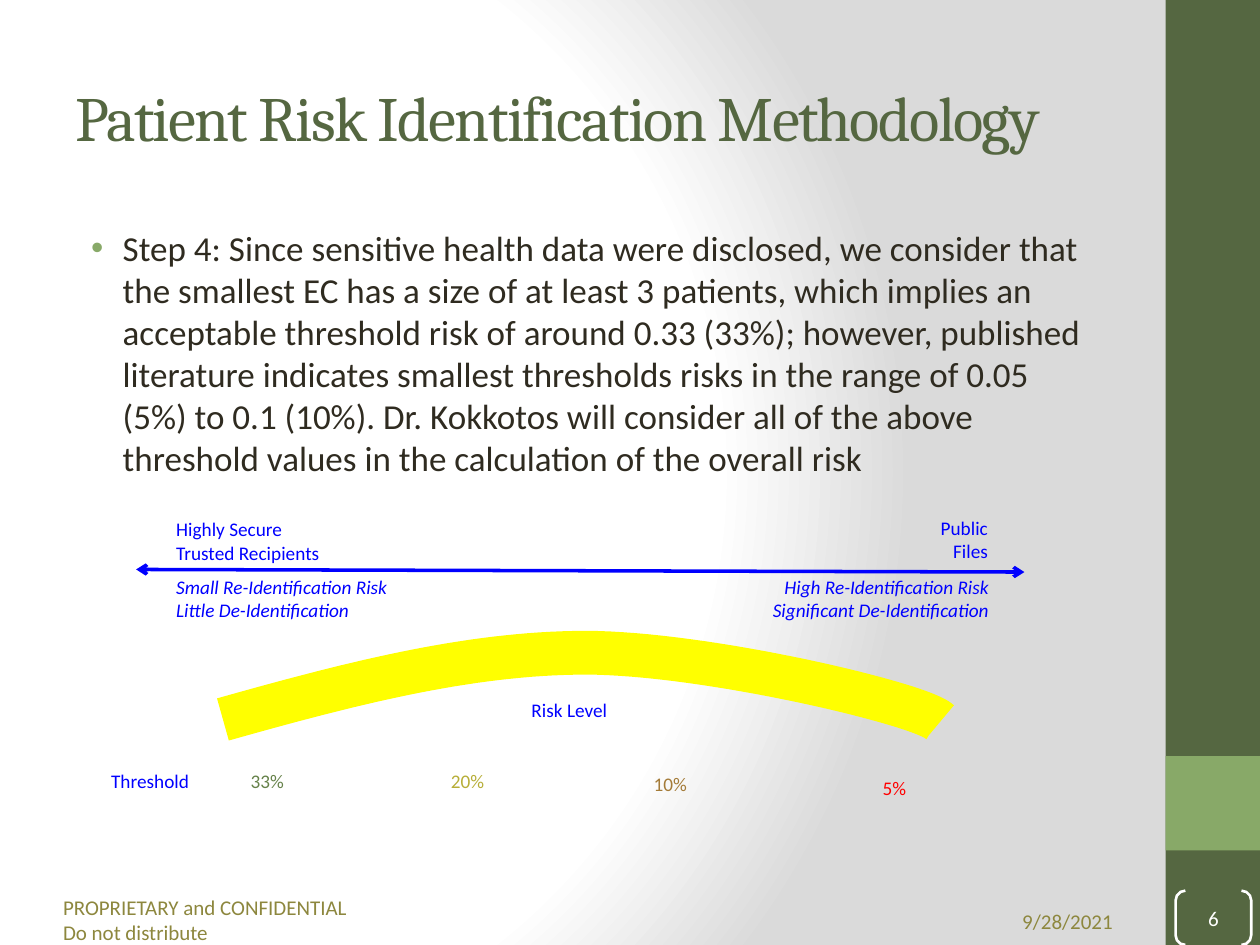
from lxml.etree import SubElement as Sub
from pptx import Presentation
from pptx.dml.color import RGBColor
from pptx.enum.shapes import MSO_CONNECTOR as Link, MSO_SHAPE as Kind
from pptx.enum.text import MSO_ANCHOR as Anchor, MSO_AUTO_SIZE as Fit, PP_ALIGN as Align
from pptx.oxml import parse_xml
from pptx.oxml.ns import nsdecls, qn
from pptx.util import Pt

WHITE = RGBColor(0xFF, 0xFF, 0xFF)
GREY = RGBColor(0xDA, 0xDA, 0xDA)
MOSS = RGBColor(0x55, 0x67, 0x41)
LEAF = RGBColor(0x88, 0xA9, 0x68)
OLIVE = RGBColor(0x8D, 0x87, 0x3E)
INK = RGBColor(0x2F, 0x2B, 0x20)
BLUE = RGBColor(0x00, 0x00, 0xFF)
YELLOW = RGBColor(0xFF, 0xFF, 0x00)
GREEN = RGBColor(0x66, 0x82, 0x4A)
GOLD = RGBColor(0xB7, 0xAE, 0x38)
BROWN = RGBColor(0xA4, 0x7B, 0x38)
RED = RGBColor(0xFF, 0x00, 0x00)

STEP = (
    "Step 4: Since sensitive health data were disclosed, we consider that "
    "the smallest EC has a size of at least 3 patients, which implies an "
    "acceptable threshold risk of around 0.33 (33%); however, published "
    "literature indicates smallest thresholds risks in the range of 0.05 "
    "(5%) to 0.1 (10%). Dr. Kokkotos will consider all of the above "
    "threshold values in the calculation of the overall risk"
)


def write(shape, text, size=11, color=BLUE, font="Calibri", align=Align.LEFT,
          anchor=Anchor.TOP, italic=False, inset=True):
    frame = shape.text_frame
    frame.text = text
    frame.word_wrap = True
    frame.auto_size = Fit.NONE
    frame.vertical_anchor = anchor
    if not inset:
        frame.margin_left = frame.margin_right = 0
        frame.margin_top = frame.margin_bottom = 0
    for para in frame.paragraphs:
        para.alignment = align
        for run in para.runs:
            run.font.size = Pt(size)
            run.font.name = font
            run.font.italic = italic
            run.font.color.rgb = color
    return frame


def label(slide, box, text, **form):
    return write(slide.shapes.add_textbox(*map(Pt, box)), text, **form)


def block(slide, kind, box, fill=None):
    shape = slide.shapes.add_shape(kind, *map(Pt, box))
    shape.shadow.inherit = False
    shape.line.fill.background()
    if fill is None:
        shape.fill.background()
    else:
        shape.fill.solid()
        shape.fill.fore_color.rgb = fill
    return shape


def ground(slide):
    stops = "".join(
        f'<a:gs pos="{pos}"><a:srgbClr val="{color}"/></a:gs>'
        for pos, color in ((0, WHITE), (75000, WHITE), (100000, GREY)))
    slide.element.cSld.insert(0, parse_xml(
        f'<p:bg {nsdecls("p", "a")}><p:bgPr><a:gradFill rotWithShape="1">'
        f'<a:gsLst>{stops}</a:gsLst><a:path path="circle">'
        '<a:fillToRect l="20000" t="50000" r="100000" b="50000"/></a:path>'
        '</a:gradFill><a:effectLst/></p:bgPr></p:bg>'))


def rail(slide, left, top, width, height):
    block(slide, Kind.RECTANGLE, (left, top, width, height), MOSS)
    block(slide, Kind.RECTANGLE, (left, top + height * 0.8, width, width), LEAF)
    badge = block(slide, Kind.DOUBLE_BRACKET,
                  (left + 5.8, top + height - 31, 43.2, 31))
    badge.adjustments[0] = 0.179
    badge.line.color.rgb = WHITE
    badge.line.width = Pt(1.5)
    write(badge, "6", size=12, color=WHITE, align=Align.CENTER,
          anchor=Anchor.MIDDLE, inset=False)


def head(slide, left, top, width, height):
    title = slide.shapes.title
    title.left, title.top = Pt(left), Pt(top)
    title.width, title.height = Pt(width), Pt(height)
    frame = write(title, "Patient Risk Identification Methodology", size=36,
                  color=MOSS, font="Cambria", anchor=Anchor.MIDDLE)
    frame.paragraphs[0].runs[0].font._element.set("spc", "-100")


def body(slide, left, top, width, height):
    para = label(slide, (left, top, width, height), STEP,
                 size=20, color=INK).paragraphs[0]
    para.space_before = Pt(4)
    props = para._p.get_or_add_pPr()
    props.set("marL", str(Pt(27)))
    props.set("indent", str(Pt(-18)))
    Sub(Sub(props, qn("a:buClr")), qn("a:srgbClr")).set("val", str(LEAF))
    Sub(props, qn("a:buFont")).set("typeface", "Arial")
    Sub(props, qn("a:buChar")).set("char", "•")


def foot(slide, left, top, width, height):
    form = dict(size=12, color=OLIVE, anchor=Anchor.MIDDLE, inset=False)
    label(slide, (left, top, 188.6, height),
          "PROPRIETARY and CONFIDENTIAL\nDo not distribute", **form)
    label(slide, (left + width - 98.6, top + 0.7, 98.6, height),
          "9/28/2021", align=Align.RIGHT, **form)


def arrow(slide, start, end):
    line = slide.shapes.add_connector(Link.STRAIGHT, *map(Pt, start + end))
    line.line.color.rgb = BLUE
    line.line.width = Pt(2)
    props = line.line._get_or_add_ln()
    for tip in ("a:headEnd", "a:tailEnd"):
        Sub(props, qn(tip)).set("type", "arrow")
    Sub(line._element.spPr, qn("a:effectLst"))


def bend(points, count=32):
    for step in range(1, count + 1):
        t = step / count
        parts = ((1 - t) ** 3, 3 * t * (1 - t) ** 2, 3 * t * t * (1 - t), t ** 3)
        yield tuple(Pt(sum(w * p[axis] for w, p in zip(parts, points)))
                    for axis in (0, 1))


def arc(slide, left, top):
    knots = [(left + x, top + y) for x, y in (
        (0, 38.1), (69.2, 18.7), (139, 0), (207.4, 0),
        (275.8, 0), (400.4, 29.5), (409.7, 39.6))]
    path = slide.shapes.build_freeform(*map(Pt, knots[0]))
    path.add_line_segments([*bend(knots[:4]), *bend(knots[3:])], close=False)
    curve = path.convert_to_shape()
    curve.shadow.inherit = False
    curve.fill.background()
    curve.line.color.rgb = YELLOW
    curve.line.width = Pt(25)


def scale(slide, left, top, width):
    arrow(slide, (left + 37.5, top + 33.8), (left + width, top + 35.3))
    ends = (
        (53.3, 0.7, 122.4, "Highly Secure\nTrusted Recipients", Align.LEFT, False),
        (409, 0, 122.4, "Public\nFiles", Align.RIGHT, False),
        (53.3, 33.8, 144, "Small Re-Identification Risk\nLittle De-Identification",
         Align.LEFT, True),
        (378, 33.8, 154, "High Re-Identification Risk\nSignificant De-Identification",
         Align.RIGHT, True),
    )
    for x, y, wide, text, align, italic in ends:
        label(slide, (left + x, top + y, wide, 33.8), text,
              align=align, italic=italic)
    arc(slide, left + 87.1, top + 81.4)
    label(slide, (left + 223.9, top + 103.7, 122.4, 20.9), "Risk Level",
          align=Align.CENTER)
    marks = (
        (0, 144.7, 74.9, "Threshold", BLUE, Align.RIGHT),
        (95.8, 144.7, 38.2, "33%", GREEN, Align.LEFT),
        (210.3, 144.7, 38.2, "20%", GOLD, Align.LEFT),
        (326.2, 146.2, 38.2, "10%", BROWN, Align.LEFT),
        (446.4, 148.3, 38.2, "5%", RED, Align.RIGHT),
    )
    for x, y, wide, text, color, align in marks:
        label(slide, (left + x, top + y, wide, 20.9), text,
              color=color, align=align)


deck = Presentation()
deck.slide_width, deck.slide_height = Pt(720), Pt(540)
page = deck.slides.add_slide(deck.slide_layouts[5])
ground(page)
rail(page, 666, 0, 54, 540)
head(page, 36, 21.6, 600, 90)
body(page, 36, 126, 600, 159)
foot(page, 36, 511.2, 600, 28.8)
scale(page, 40.3, 291.6, 545.1)
deck.save("out.pptx")
